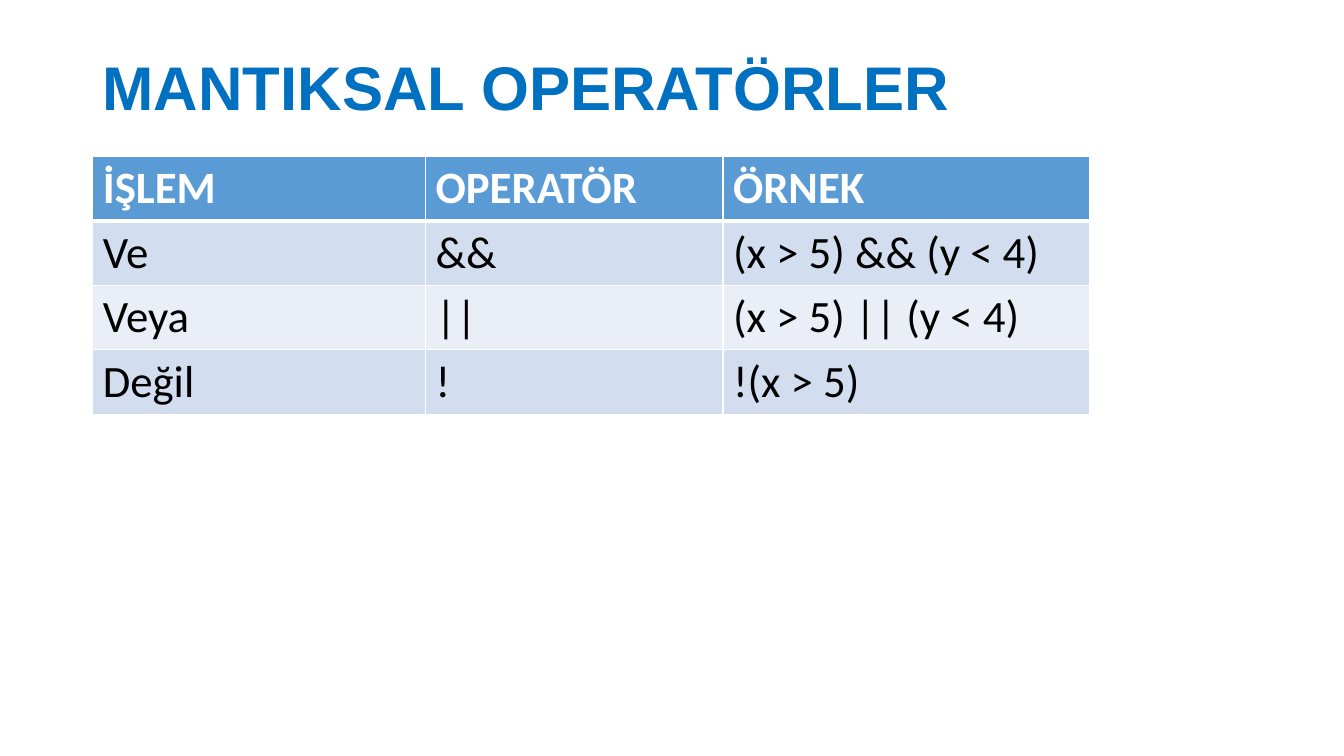
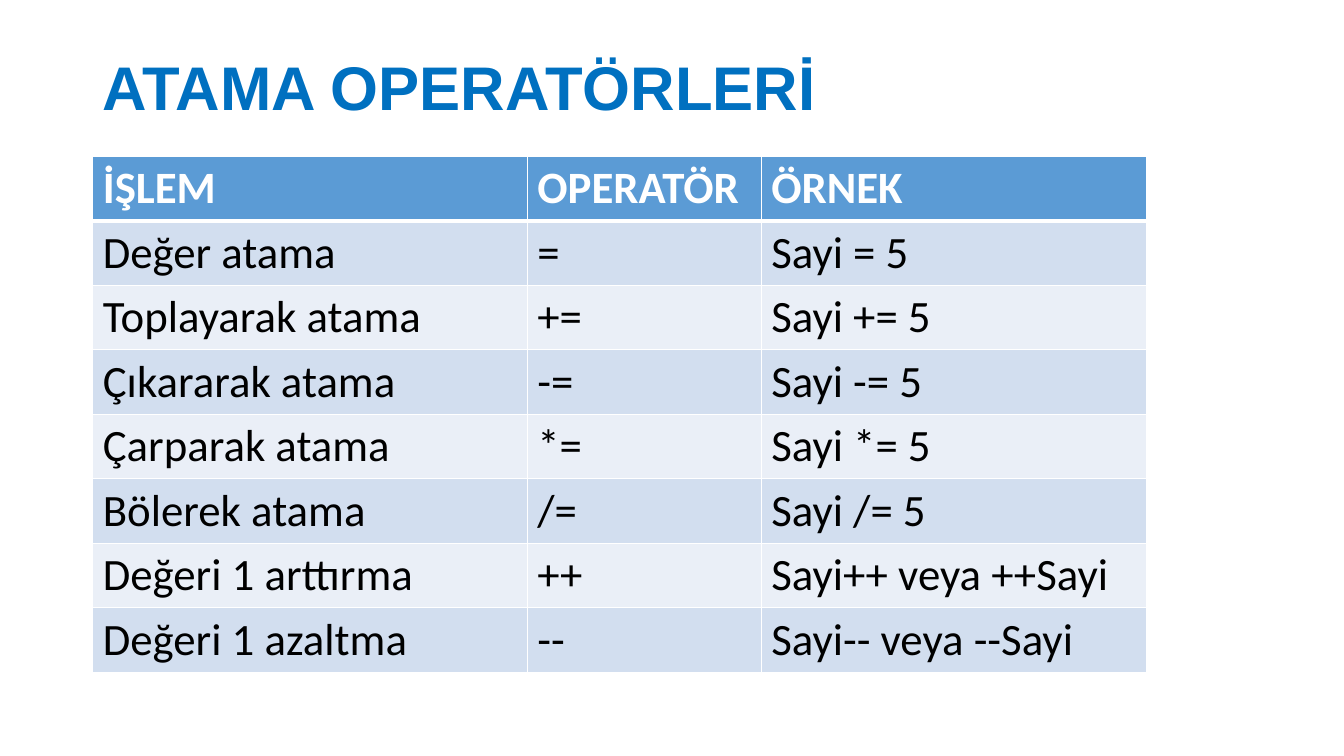
from lxml import etree
from pptx import Presentation
from pptx.dml.color import RGBColor
from pptx.enum.text import MSO_ANCHOR
from pptx.oxml.ns import qn
from pptx.util import Inches, Pt

MIDDLE = MSO_ANCHOR.MIDDLE
TITLE_BLUE = RGBColor(0x00, 0x70, 0xC0)
HEADER_BLUE = RGBColor(0x5B, 0x9B, 0xD5)
BANDS = [RGBColor(0xEA, 0xEF, 0xF7), RGBColor(0xD2, 0xDE, 0xEF)]
WHITE = RGBColor(0xFF, 0xFF, 0xFF)
BLACK = RGBColor(0x00, 0x00, 0x00)

# Shared text styles and table geometry
TITLE = {"name": "Arial", "size": Pt(44), "bold": True}
HEADER = {"name": "Calibri", "size": Pt(32), "bold": True}
BODY = {**HEADER, "bold": False}
LEFT, TABLE_TOP, ROW_HEIGHT = 0.92, 1.55, 0.64
HEADINGS = ("İŞLEM", "OPERATÖR", "ÖRNEK")

# Title, column widths and body rows of each slide
SLIDES = [
    ("MANTIKSAL OPERATÖRLER", (3.3, 2.95, 3.64), [
        ("Ve", "&&", "(x > 5) && (y < 4)"),
        ("Veya", "||", "(x > 5) || (y < 4)"),
        ("Değil", "!", "!(x > 5)"),
    ]),
    ("ATAMA OPERATÖRLERİ", (4.31, 2.32, 3.82), [
        ("Değer atama", "=", "Sayi = 5"),
        ("Toplayarak atama", "+=", "Sayi += 5"),
        ("Çıkararak atama", "-=", "Sayi -= 5"),
        ("Çarparak atama", "*=", "Sayi *= 5"),
        ("Bölerek atama", "/=", "Sayi /= 5"),
        ("Değeri 1 arttırma", "++", "Sayi++ veya ++Sayi"),
        ("Değeri 1 azaltma", "--", "Sayi-- veya --Sayi"),
    ]),
]


def write(tf, text, style, color):
    p = tf.paragraphs[0]
    r = p.add_run()
    r.text = text
    for name, value in style.items():
        setattr(r.font, name, value)
    r.font.color.rgb = color
    return p


def add_border(cell, side, width):
    ln = etree.SubElement(cell._tc.get_or_add_tcPr(), qn("a:ln" + side), w=str(Pt(width)))
    fill = etree.SubElement(ln, qn("a:solidFill"))
    etree.SubElement(fill, qn("a:srgbClr"), val=str(WHITE))


prs = Presentation()
prs.slide_width, prs.slide_height = Inches(13.33), Inches(7.5)

for title, widths, body in SLIDES:
    s = prs.slides.add_slide(prs.slide_layouts[6])

    # Title
    sp = s.shapes.add_textbox(Inches(LEFT), Inches(0.4), Inches(11.5), Inches(0.99))
    tf = sp.text_frame
    tf.word_wrap = True
    tf.vertical_anchor = MIDDLE
    p = write(tf, title, TITLE, TITLE_BLUE)
    p.line_spacing = 0.9

    # Operator table
    rows = [HEADINGS, *body]
    table = s.shapes.add_table(len(rows), len(widths), Inches(LEFT), Inches(TABLE_TOP),
                               Inches(sum(widths)), Inches(ROW_HEIGHT * len(rows))).table
    for column, width in zip(table.columns, widths):
        column.width = Inches(width)
    for i, row in enumerate(rows):
        table.rows[i].height = Inches(ROW_HEIGHT)
        for j, text in enumerate(row):
            cell = table.cell(i, j)
            # A thick rule separates the header from the body
            for side in "LRTB":
                add_border(cell, side, 3 if (i, side) in ((0, "B"), (1, "T")) else 1)
            cell.fill.solid()
            cell.fill.fore_color.rgb = BANDS[i % 2] if i else HEADER_BLUE
            write(cell.text_frame, text, BODY if i else HEADER, BLACK if i else WHITE)

prs.save("out.pptx")
